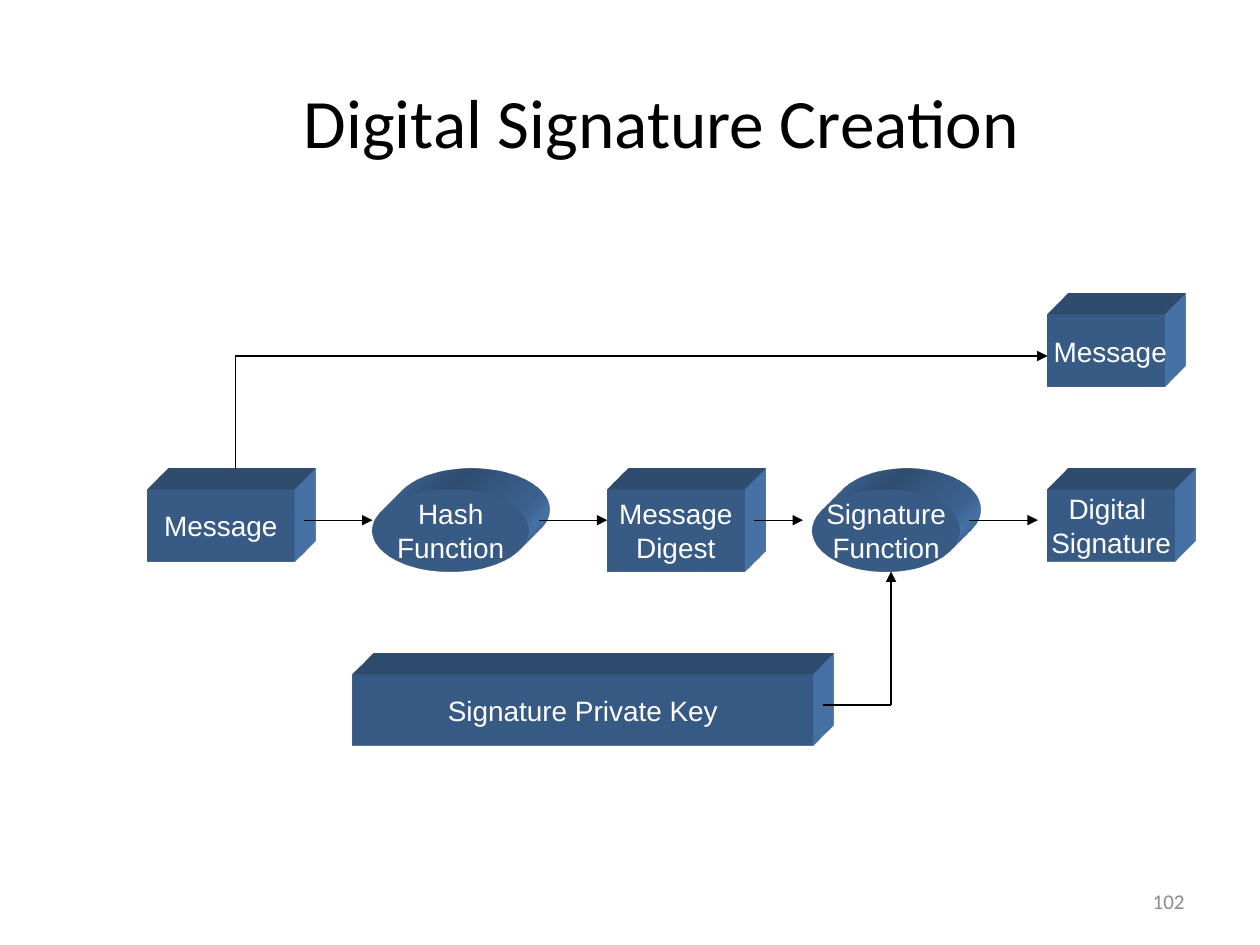
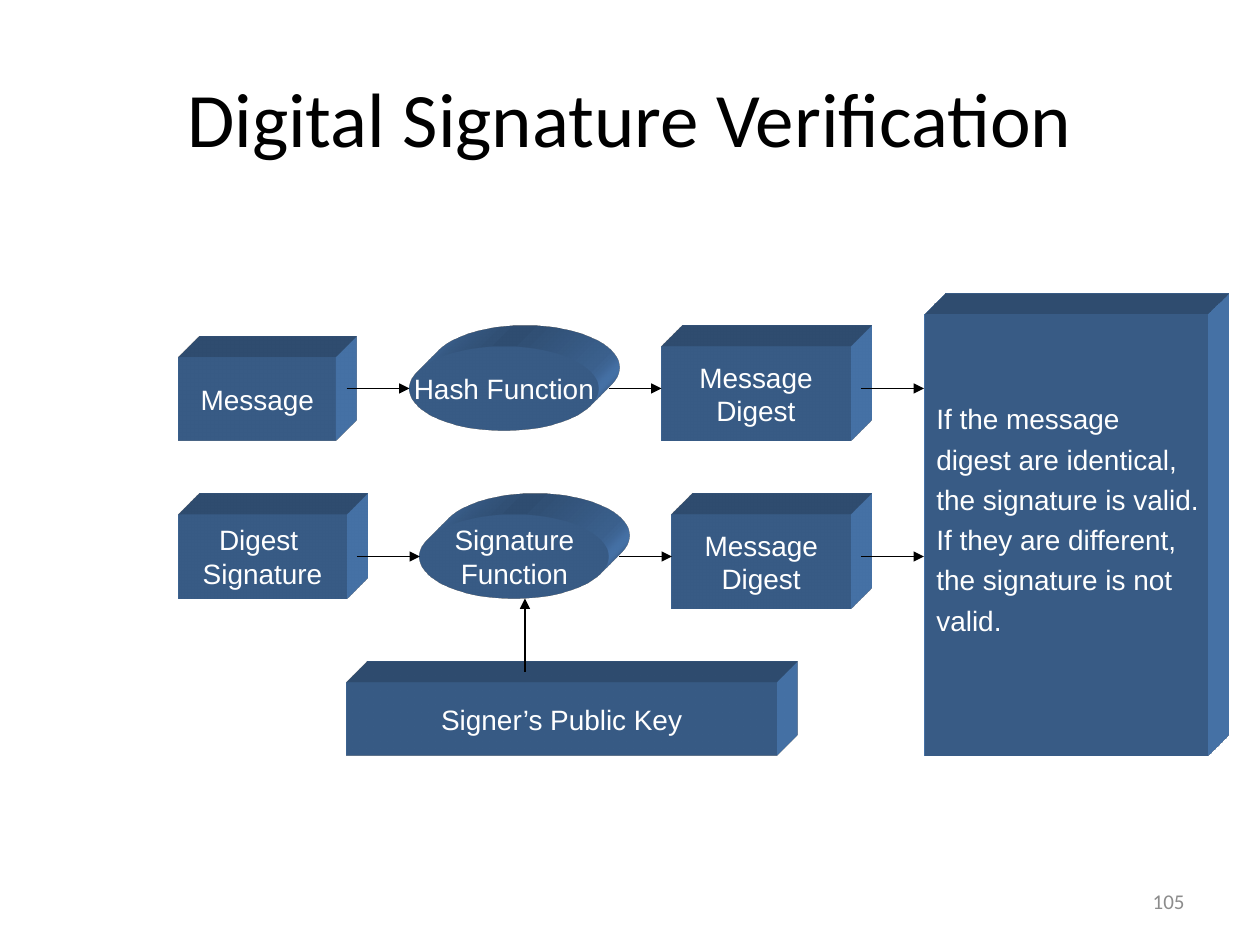
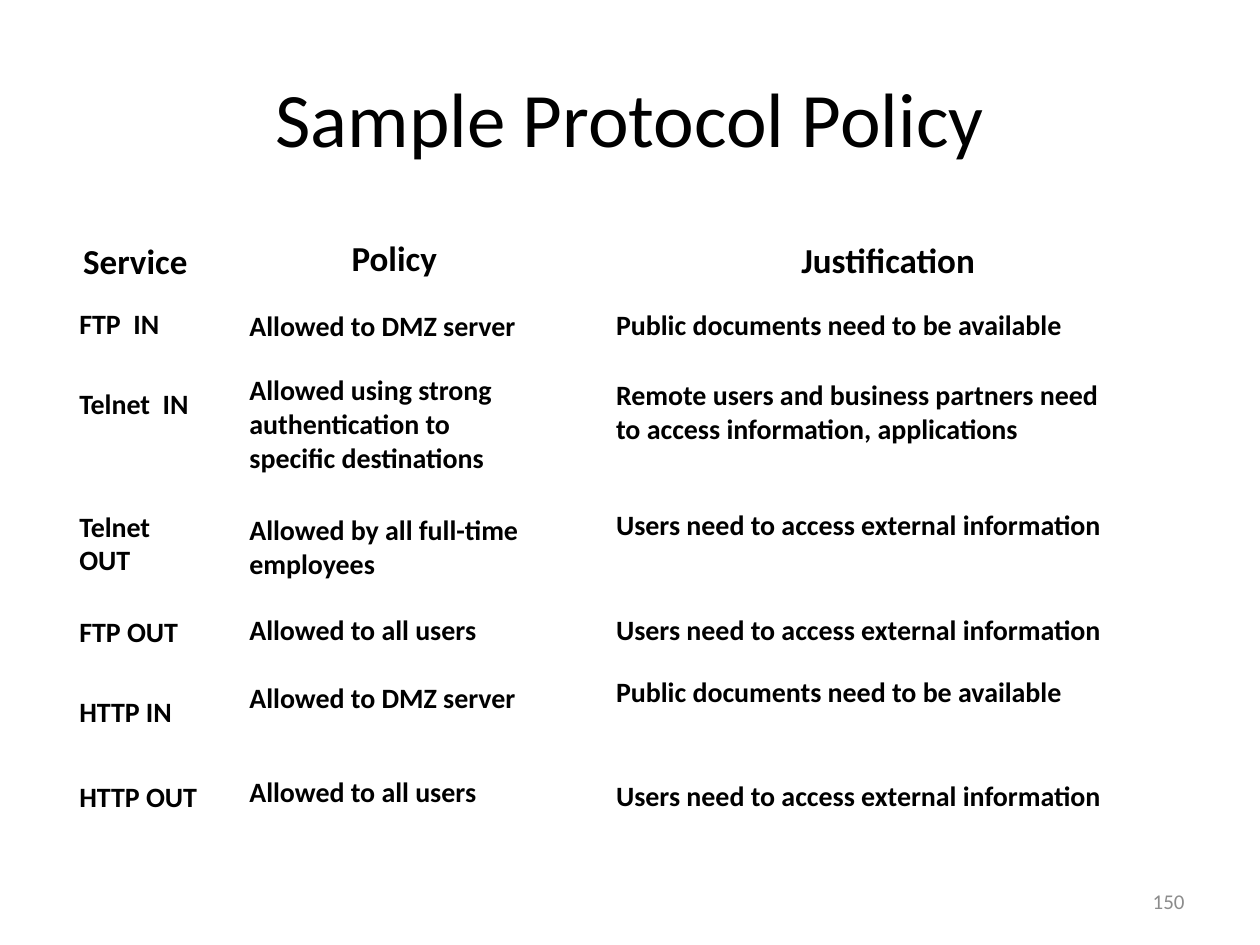
from dataclasses import dataclass

from lxml import etree
from pptx import Presentation
from pptx.dml.color import RGBColor
from pptx.enum.shapes import MSO_CONNECTOR as CONN, MSO_SHAPE as SHAPE
from pptx.enum.text import MSO_ANCHOR as ANCHOR, MSO_AUTO_SIZE as FIT, PP_ALIGN as ALIGN
from pptx.oxml import parse_xml
from pptx.oxml.ns import nsdecls, qn
from pptx.util import Inches, Pt

BLUE = RGBColor(0x4F, 0x81, 0xBD)
WHITE = RGBColor(0xFF, 0xFF, 0xFF)
BLACK = RGBColor(0x00, 0x00, 0x00)
GRAY = RGBColor(0x8C, 0x8C, 0x8C)

DEPTH = 430200
TITLE_ONLY = 5


@dataclass
class Grid:
    """Origin and cell size, in inches."""
    left: float
    top: float
    col: float
    row: float

    def point(self, x, y):
        return Inches(self.left + x * self.col), Inches(self.top + y * self.row)

    def box(self, x, y, w, h):
        return *self.point(x, y), Inches(w * self.col), Inches(h * self.row)


PAGE = Grid(0, 0, 0.1, 0.1)
CREATION = Grid(1.17, 2.5, 3.65 / 47, 0.57 / 7)
VERIFICATION = Grid(0, 0, 1 / 12, 1 / 12)


class Deck:
    title_font = {"name": "Calibri", "size": Pt(44)}
    node_font = {"name": "Arial", "size": Pt(16)}
    cell_font = {"name": "Calibri", "size": Pt(16), "bold": True}
    head_font = {"name": "Calibri", "size": Pt(20), "bold": True}
    number_font = {"name": "Calibri", "size": Pt(12)}

    def __init__(self):
        self.prs = Presentation()
        self.prs.slide_width, self.prs.slide_height = Inches(10), Inches(7.5)
        self.s = self.grid = None

    def put_text(self, tf, lines, font, color, align=ALIGN.LEFT, spacing=None):
        for i, line in enumerate(lines):
            p = tf.paragraphs[0] if i == 0 else tf.add_paragraph()
            p.text, p.alignment = line, align
            if spacing:
                p.line_spacing = spacing
            for r in p.runs:
                for key, value in font.items():
                    setattr(r.font, key, value)
                r.font.color.rgb = color

    def slide(self, title, number, grid=PAGE, title_at=(5, 3, 90, 12.5), title_size=44):
        self.s = self.prs.slides.add_slide(self.prs.slide_layouts[TITLE_ONLY])
        self.grid = grid
        sp = self.s.shapes.title
        sp.left, sp.top, sp.width, sp.height = PAGE.box(*title_at)
        tf = sp.text_frame
        tf.auto_size, tf.vertical_anchor = FIT.NONE, ANCHOR.MIDDLE
        font = self.title_font | {"size": Pt(title_size)}
        self.put_text(tf, [title], font, BLACK, ALIGN.CENTER)
        # Page number
        tf = self.s.shapes.add_textbox(*PAGE.box(71.7, 69.5, 23.3, 4)).text_frame
        tf.word_wrap, tf.vertical_anchor = True, ANCHOR.MIDDLE
        self.put_text(tf, [str(number)], self.number_font, GRAY, ALIGN.RIGHT)

    def node(self, text, at, kind=SHAPE.RECTANGLE, align=ALIGN.CENTER, spacing=None):
        sp = self.s.shapes.add_shape(kind, *self.grid.box(*at))
        sp.fill.solid()
        sp.fill.fore_color.rgb = BLUE
        sp.line.fill.background()
        sp.shadow.inherit = False
        self.extrude(sp)
        tf = sp.text_frame
        tf.word_wrap, tf.vertical_anchor = False, ANCHOR.MIDDLE
        self.put_text(tf, text.split("\n"), self.node_font, WHITE, align, spacing)
        return sp

    def extrude(self, sp):
        spPr = sp._element.spPr
        spPr.append(parse_xml(
            f'<a:scene3d {nsdecls("a")}><a:camera prst="legacyObliqueTopRight"/>'
            '<a:lightRig rig="legacyFlat3" dir="b"/></a:scene3d>'))
        spPr.append(parse_xml(
            f'<a:sp3d {nsdecls("a")} extrusionH="{DEPTH}" prstMaterial="legacyMatte">'
            '<a:bevelT w="13500" h="13500" prst="angle"/>'
            '<a:bevelB w="13500" h="13500" prst="angle"/>'
            f'<a:extrusionClr><a:srgbClr val="{BLUE}"/></a:extrusionClr></a:sp3d>'))

    def line(self, x1, y1, x2, y2, arrow=True):
        start, end = self.grid.point(x1, y1), self.grid.point(x2, y2)
        c = self.s.shapes.add_connector(CONN.STRAIGHT, *start, *end)
        c.line.color.rgb, c.line.width = BLACK, Pt(0.75)
        if arrow:
            etree.SubElement(c.line._get_or_add_ln(), qn("a:tailEnd"), type="triangle")
        etree.SubElement(c._element.spPr, qn("a:effectLst"))

    def cell(self, text, at, font, wrap=False):
        sp = self.s.shapes.add_textbox(*self.grid.box(*at))
        sp.fill.solid()
        sp.fill.fore_color.rgb = WHITE
        tf = sp.text_frame
        tf.margin_left = tf.margin_right = Inches(0.08)
        tf.margin_top = tf.margin_bottom = Inches(0.04)
        tf.word_wrap, tf.auto_size = wrap, FIT.SHAPE_TO_FIT_TEXT
        self.put_text(tf, [text], font, BLACK)


def creation(deck):
    deck.slide("Digital Signature Creation", 102, CREATION, (7.5, 5.8, 90, 7.5), 39.6)
    # Chain of steps
    for text, x, w, h, kind in [
        ("Message", 0, 15, 7, SHAPE.RECTANGLE),
        ("Hash\nFunction", 23, 16, 8, SHAPE.OVAL),
        ("Message\nDigest", 47, 14, 8, SHAPE.RECTANGLE),
        ("Signature\nFunction", 68, 15, 8, SHAPE.OVAL),
        ("Digital \nSignature", 92, 13, 7, SHAPE.RECTANGLE),
    ]:
        deck.node(text, (x, 17, w, h), kind)
    # Message passed on, and key
    deck.node(" Message", (92, 0, 12, 7))
    deck.node("Signature Private Key", (21, 35, 47, 7))
    # Arrows
    deck.line(9, 4, 92, 4)
    deck.line(9, 4, 9, 15, arrow=False)
    for x1, x2 in [(16, 23), (40, 47), (62, 67), (84, 91)]:
        deck.line(x1, 20, x2, 20)
    deck.line(69, 38, 76, 38, arrow=False)
    deck.line(76, 38, 76, 25)


def verification(deck):
    deck.slide("Digital Signature Verification", 105, VERIFICATION)
    # Two chains that lead to the verdict
    for text, at, kind in [
        ("Message", (17, 34, 15, 8), SHAPE.RECTANGLE),
        ("Hash Function", (39, 33, 18, 8), SHAPE.OVAL),
        ("Message\nDigest", (63, 33, 18, 9), SHAPE.RECTANGLE),
        ("Digest \nSignature", (17, 49, 16, 8), SHAPE.RECTANGLE),
        ("Signature\nFunction", (40, 49, 18, 8), SHAPE.OVAL),
        ("Message\nDigest", (64, 49, 17, 9), SHAPE.RECTANGLE),
        ("Signer’s Public Key", (33, 65, 41, 7), SHAPE.RECTANGLE),
    ]:
        deck.node(text, at, kind)
    # Verdict
    verdict = deck.node(
        "If the message\ndigest are identical,\nthe signature is valid.\n"
        "If they are different,\nthe signature is not\nvalid.",
        (88, 30, 27, 42), align=ALIGN.LEFT, spacing=1.2)
    verdict.text_frame.margin_bottom = Inches(0.36)
    # Arrows
    for y, spans in [(37, [(33, 39), (58, 63), (82, 88)]),
                     (53, [(34, 40), (59, 64), (82, 88)])]:
        for x1, x2 in spans:
            deck.line(x1, y, x2, y)
    deck.line(50, 64, 50, 57)


def policy(deck):
    deck.slide("Sample Protocol Policy", 150)
    # Headings: text, left, top, width
    for text, x, y, w in [("Service", 5.8, 18.6, 11.6), ("Policy", 27.1, 18.4, 9.9),
                          ("Justification", 62.8, 18.5, 18.1)]:
        deck.cell(text, (x, y, w, 4.2), deck.head_font)
    # Columns of cells: top, width, lines, text
    dmz, everyone = "Allowed to DMZ server", "Allowed to all users"
    public = "Public documents need to be available"
    external = "Users need to access external information"
    columns = {
        5.5: [(23.9, 9.3, 1, "FTP  IN"), (30.3, 11.6, 1, "Telnet  IN"),
              (40, 10.9, 2, "Telnet \nOUT"), (48.4, 11.2, 1, "FTP OUT"),
              (54.7, 10.3, 1, "HTTP IN"), (61.5, 12.8, 1, "HTTP OUT")],
        19: [(24.1, 25.8, 1, dmz),
             (29.2, 24.5, 3, "Allowed using strong authentication to specific destinations"),
             (40.3, 26.6, 2, "Allowed by all full-time \nemployees"),
             (48.2, 22.7, 1, everyone), (53.6, 25.8, 1, dmz), (61.1, 22.7, 1, everyone)],
        48.1: [(24, 42.9, 1, public),
               (29.6, 47.5, 2, "Remote users and business partners need \n"
                               "to access information, applications"),
               (39.9, 46.8, 1, external), (48.2, 46.8, 1, external),
               (53.1, 43.5, 1, public), (61.4, 46.8, 1, external)],
    }
    for x, cells in columns.items():
        for y, w, lines, text in cells:
            wrap = lines > 1 + text.count("\n")
            deck.cell(text, (x, y, w, 0.8 + 2.7 * lines), deck.cell_font, wrap)


def main():
    deck = Deck()
    for build in (creation, verification, policy):
        build(deck)
    deck.prs.save("out.pptx")


if __name__ == "__main__":
    main()
